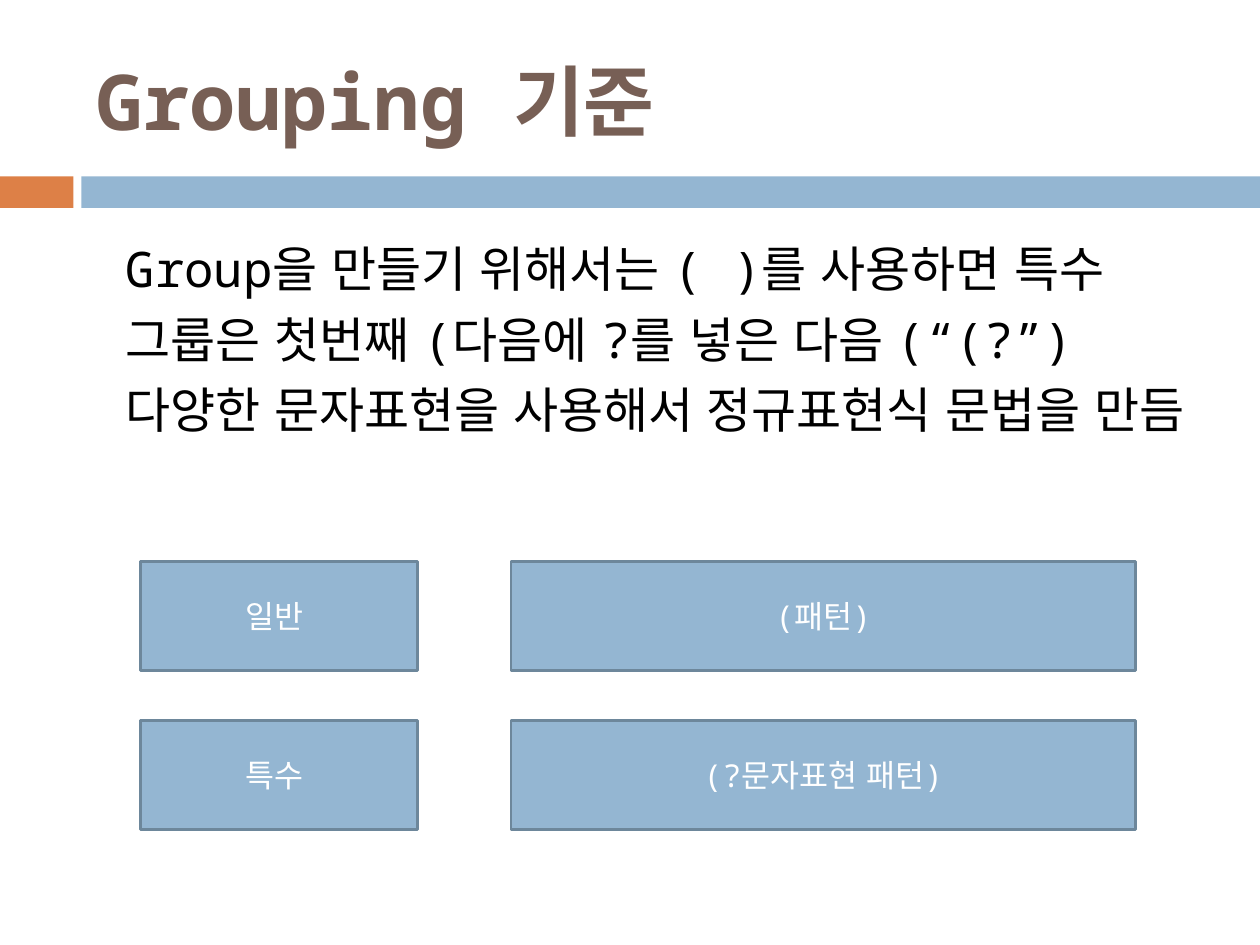
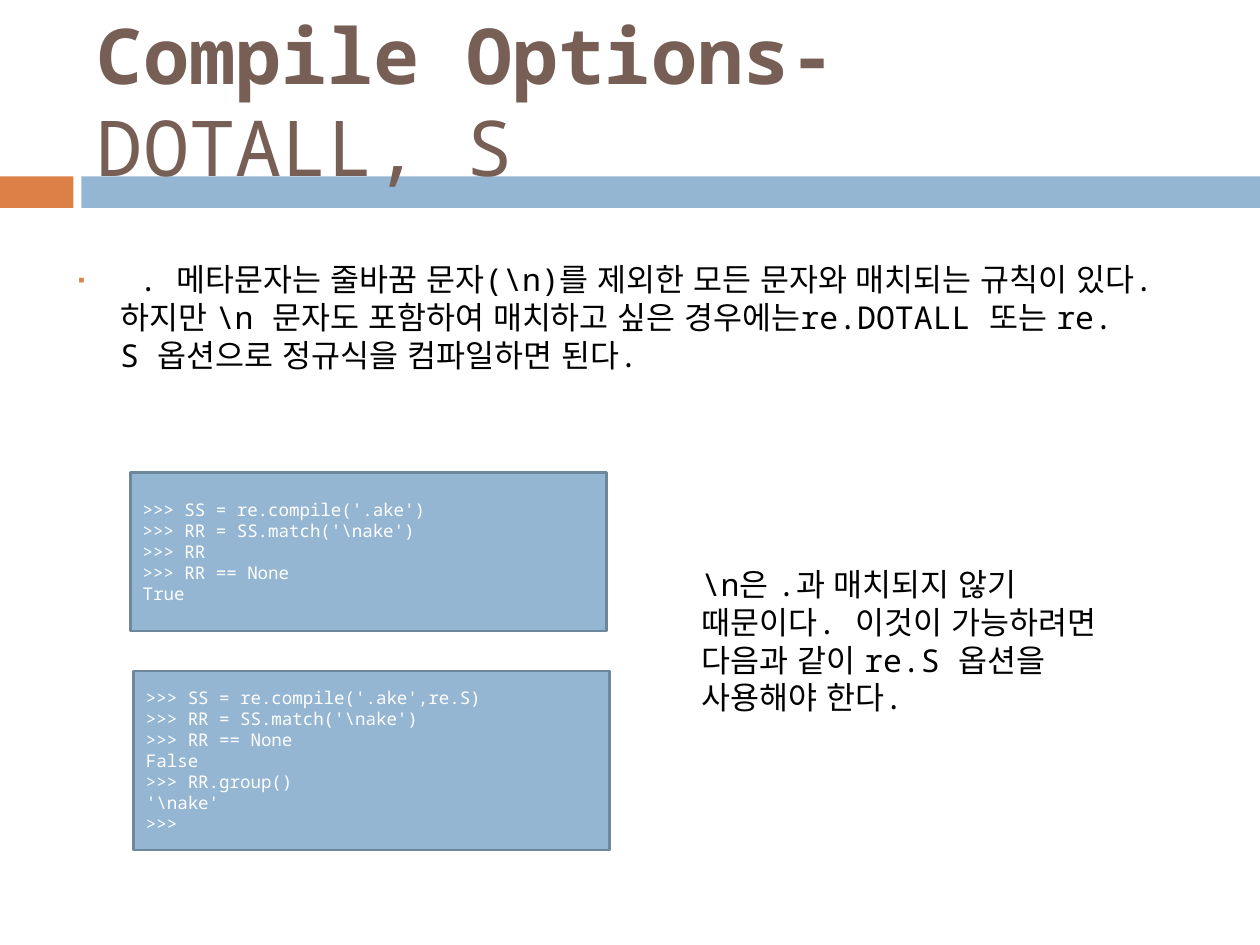
import pptx
import pptx.util
import pptx.dml.color
import pptx.enum.lang
import pptx.enum.shapes
import pptx.enum.text
import pptx.oxml
import pptx.oxml.ns

# The slide is a grid of 100 columns by 75 rows; boxes are (col, row, cols, rows).
COLS, ROWS = 100, 75
FONT = "Noto Sans Mono"
ORANGE, BLUE, EDGE = "DD8047", "94B6D2", "6D879B"
BROWN, BLACK, WHITE = "775F55", "000000", "FFFFFF"
ALIGN = pptx.enum.text.PP_ALIGN
ANCHOR = pptx.enum.text.MSO_ANCHOR

prs = pptx.Presentation()
prs.slide_width = pptx.util.Inches(10)
prs.slide_height = pptx.util.Inches(7.5)


def color(hex_code):
    """Turn a hex string into a colour."""
    return pptx.dml.color.RGBColor.from_string(hex_code)


def place(box):
    """Turn a grid box into slide lengths."""
    x, y, w, h = box
    col, row = prs.slide_width / COLS, prs.slide_height / ROWS
    return [round(v) for v in (x * col, y * row, w * col, h * row)]


def add_run(p, text, size, fill, bold=False):
    """Add one run of text."""
    r = p.add_run()
    r.text = text
    r.font.name, r.font.size, r.font.bold = FONT, pptx.util.Pt(size), bold
    r.font.color.rgb = color(fill)
    r.font.language_id = pptx.enum.lang.MSO_LANGUAGE_ID.KOREAN


def add_text(s, box, anchor=ANCHOR.TOP):
    """Add a wrapping text box and return its frame."""
    tf = s.shapes.add_textbox(*place(box)).text_frame
    tf.word_wrap = True
    tf.vertical_anchor = anchor
    return tf


def add_rect(s, box, fill, edge=None):
    """Add a flat rectangle, outlined when an edge colour is given."""
    sp = s.shapes.add_shape(pptx.enum.shapes.MSO_SHAPE.RECTANGLE, *place(box))
    sp.shadow.inherit = False
    sp.fill.solid()
    sp.fill.fore_color.rgb = color(fill)
    if edge:
        sp.line.color.rgb = color(edge)
        sp.line.width = pptx.util.Pt(1.5)
    else:
        sp.line.fill.background()
    return sp


def add_panel(s, box, lines, size, align=ALIGN.LEFT):
    """Add a blue panel with one paragraph for each line."""
    tf = add_rect(s, box, BLUE, EDGE).text_frame
    tf.word_wrap = True
    tf.vertical_anchor = ANCHOR.MIDDLE
    for i, line in enumerate(lines):
        p = tf.add_paragraph() if i else tf.paragraphs[0]
        p.alignment = align
        add_run(p, line, size, WHITE)


def indent(p, left, first=0, bullet=None):
    """Set the indents in inches, and a small orange bullet if given."""
    pPr = p._p.get_or_add_pPr()
    pPr.set("marL", str(pptx.util.Inches(left)))
    pPr.set("indent", str(pptx.util.Inches(first)))
    if bullet:
        ns = pptx.oxml.ns.nsdecls("a")
        for xml in (f'<a:buClr {ns}><a:srgbClr val="{ORANGE}"/></a:buClr>',
                    f'<a:buSzPct {ns} val="60000"/>',
                    f'<a:buFont {ns} typeface="{FONT}"/>',
                    f'<a:buChar {ns} char="{bullet}"/>'):
            pPr.append(pptx.oxml.parse_xml(xml))


def new_slide(title):
    """Start a slide with the two bands and a title of (text, bold) runs."""
    s = prs.slides.add_slide(prs.slide_layouts[6])
    add_rect(s, (0, 14, 5.83, 2.5), ORANGE)
    add_rect(s, (6.46, 14, COLS - 6.46, 2.5), BLUE)
    p = add_text(s, (6.7, 2.5, 89.2, 10.8), ANCHOR.MIDDLE).paragraphs[0]
    for text, bold in title:
        add_run(p, text, 44, BROWN, bold)
    return s


def add_pairs(s, box, pairs, gap_x, gap_y, label_w):
    """Fill the box with rows of a label panel and a pattern panel."""
    x, y, w, h = box
    row_h = (h - gap_y * (len(pairs) - 1)) / len(pairs)
    step = label_w + gap_x
    for i, (label, pattern) in enumerate(pairs):
        top = y + i * (row_h + gap_y)
        add_panel(s, (x, top, label_w, row_h), [label], 18, ALIGN.CENTER)
        add_panel(s, (x + step, top, w - step, row_h), [pattern], 18,
                  ALIGN.CENTER)


def grouping_slide():
    """Build the slide on how groups are written."""
    s = new_slide([("Grouping 기준", True)])
    p = add_text(s, (5, 17.5, 90, 18.4)).paragraphs[0]
    p.line_spacing, p.space_before = 1.2, pptx.util.Pt(5.5)
    indent(p, 0.4)
    add_run(p, "Group을 만들기 위해서는 ( )를 사용하면 특수 그룹은 첫번째 "
               "(다음에 ?를 넣은 다음 (“(?”) 다양한 문자표현을 사용해서 "
               "정규표현식 문법을 만듬", 28, BLACK)
    add_pairs(s, (11.13, 44.55, 79.02, 21.3),
              [("일반 ", "(패턴)"), ("특수 ", "(?문자표현 패턴)")],
              gap_x=7.42, gap_y=3.95, label_w=22)


def dotall_slide():
    """Build the slide on the DOTALL option, with two console sessions."""
    s = new_slide([("Compile Options- ", True), ("DOTALL, S ", False)])
    p = add_text(s, (5.05, 20.15, 90, 12.6)).paragraphs[0]
    p.space_before = pptx.util.Pt(7)
    indent(p, 0.35, -0.35, "▪")
    add_run(p, " .\u00a0메타문자는 줄바꿈 문자(\\n)를 제외한 모든 문자와 "
               "매치되는 규칙이 있다. 하지만\u00a0\\n\u00a0문자도 포함하여 "
               "매치하고 싶은 경우에는re.DOTALL\u00a0또는\u00a0re.S\u00a0"
               "옵션으로 정규식을 컴파일하면 된다.", 18, BLACK)
    add_panel(s, (10.34, 37.5, 37.8, 12.6),
              [">>> SS = re.compile('.ake')", ">>> RR = SS.match('\\nake')",
               ">>> RR", ">>> RR == None", "True"], 10)
    tf = add_text(s, (54.7, 44.35, 36.2, 13.1))
    tf.auto_size = pptx.enum.text.MSO_AUTO_SIZE.SHAPE_TO_FIT_TEXT
    add_run(tf.paragraphs[0],
            "\\n은\u00a0.과 매치되지 않기 때문이다. 이것이 가능하려면 "
            "다음과 같이\u00a0re.S\u00a0옵션을 사용해야 한다.", 18, BLACK)
    add_panel(s, (10.6, 53.25, 37.8, 14.2),
              [">>> SS = re.compile('.ake',re.S)",
               ">>> RR = SS.match('\\nake')", ">>> RR == None", "False",
               ">>> RR.group()", "'\\nake'", ">>> "], 10)


grouping_slide()
dotall_slide()
prs.save("out.pptx")
